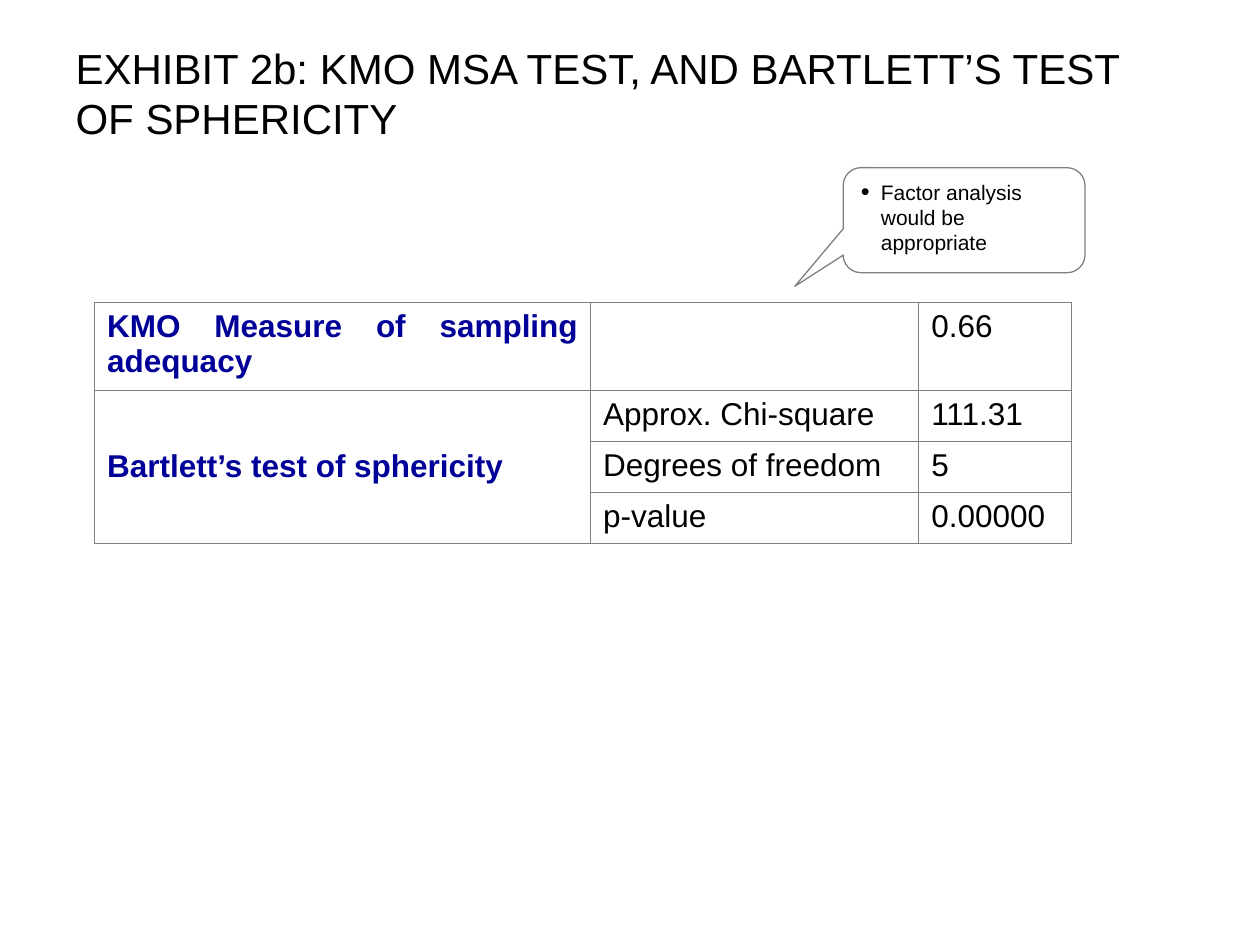
import pptx
import pptx.util
import pptx.dml.color
import pptx.enum.shapes
import pptx.enum.text
import pptx.oxml
import pptx.oxml.ns

Pt = pptx.util.Pt
ALIGN = pptx.enum.text.PP_ALIGN
ANCHOR = pptx.enum.text.MSO_ANCHOR
BLACK = pptx.dml.color.RGBColor(0x00, 0x00, 0x00)
NAVY = pptx.dml.color.RGBColor(0x00, 0x00, 0x99)
GREY = pptx.dml.color.RGBColor(0x80, 0x80, 0x80)
NS = pptx.oxml.ns.nsdecls("a")


def write(tf, text, size, color=BLACK, bold=False, align=ALIGN.LEFT, before=0):
    """Put one formatted paragraph into a text frame and return it."""
    p = tf.paragraphs[0]
    p.alignment = align
    p.space_before = Pt(before)
    r = p.add_run()
    r.text = text
    for name, value in {"name": "Arial", "size": Pt(size), "bold": bold}.items():
        setattr(r.font, name, value)
    r.font.color.rgb = color
    return p


def add_borders(cell):
    """Draw a thin grey line on all four sides of a table cell."""
    tcPr = cell._tc.get_or_add_tcPr()
    for i, side in enumerate("LRTB"):
        tcPr.insert(i, pptx.oxml.parse_xml(
            f'<a:ln{side} {NS} w="{Pt(0.45)}"><a:solidFill>'
            f'<a:srgbClr val="{GREY}"/></a:solidFill></a:ln{side}>'))


prs = pptx.Presentation()
prs.slide_width, prs.slide_height = Pt(720), Pt(540)
s = prs.slides.add_slide(prs.slide_layouts[5])

# Title
sp = s.shapes.title
for name, value in {"left": 36, "top": 21.6, "width": 648, "height": 62.6}.items():
    setattr(sp, name, Pt(value))
tf = sp.text_frame
tf.vertical_anchor = ANCHOR.MIDDLE
tf.auto_size = pptx.enum.text.MSO_AUTO_SIZE.NONE
write(tf, "EXHIBIT 2b: KMO MSA TEST, AND BARTLETT’S TEST OF SPHERICITY", 24)

# Test results table
rows = [
    ("KMO Measure of sampling adequacy", "", "0.66"),
    ("Bartlett’s test of sphericity", "Approx. Chi-square", "111.31"),
    ("", "Degrees of freedom", "5"),
    ("", "p-value", "0.00000"),
]
widths = [283.5, 187.5, 87]
heights = [50.4, 29.1, 29.1, 29.1]
table = s.shapes.add_table(len(rows), len(widths), Pt(54), Pt(172.8),
                           Pt(sum(widths)), Pt(sum(heights))).table
table.first_row = table.horz_banding = False
for column, width in zip(table.columns, widths):
    column.width = Pt(width)
for row, height in zip(table.rows, heights):
    row.height = Pt(height)
table.cell(1, 0).merge(table.cell(3, 0))
table.cell(1, 0).vertical_anchor = ANCHOR.MIDDLE

for i, texts in enumerate(rows):
    for j, text in enumerate(texts):
        cell = table.cell(i, j)
        cell.fill.background()
        add_borders(cell)
        if text:
            write(cell.text_frame, text, 18, NAVY if j == 0 else BLACK,
                  j == 0, ALIGN.JUSTIFY, 4.5)

# Callout pointing at the KMO value
sp = s.shapes.add_shape(pptx.enum.shapes.MSO_SHAPE.ROUNDED_RECTANGULAR_CALLOUT,
                        Pt(481.8), Pt(95.8), Pt(138.2), Pt(60))
for i, value in enumerate([-0.7, 0.63, 0.17]):
    sp.adjustments[i] = value
sp.shadow.inherit = False
sp.fill.background()
sp.line.color.rgb = GREY
sp.line.width = Pt(0.75)
tf = sp.text_frame
tf.word_wrap = True
tf.vertical_anchor = ANCHOR.TOP
p = write(tf, "Factor analysis would be appropriate", 12, before=3.7)

# Bullet with a hanging indent
pPr = p._p.get_or_add_pPr()
pPr.set("marL", str(Pt(11.5)))
pPr.set("indent", str(Pt(-11.5)))
for xml in (f'<a:buClr {NS}><a:srgbClr val="{BLACK}"/></a:buClr>',
            f'<a:buSzPct {NS} val="120000"/>',
            f'<a:buFont {NS} typeface="Arial"/>',
            f'<a:buChar {NS} char="•"/>'):
    pPr.append(pptx.oxml.parse_xml(xml))

prs.save("out.pptx")
